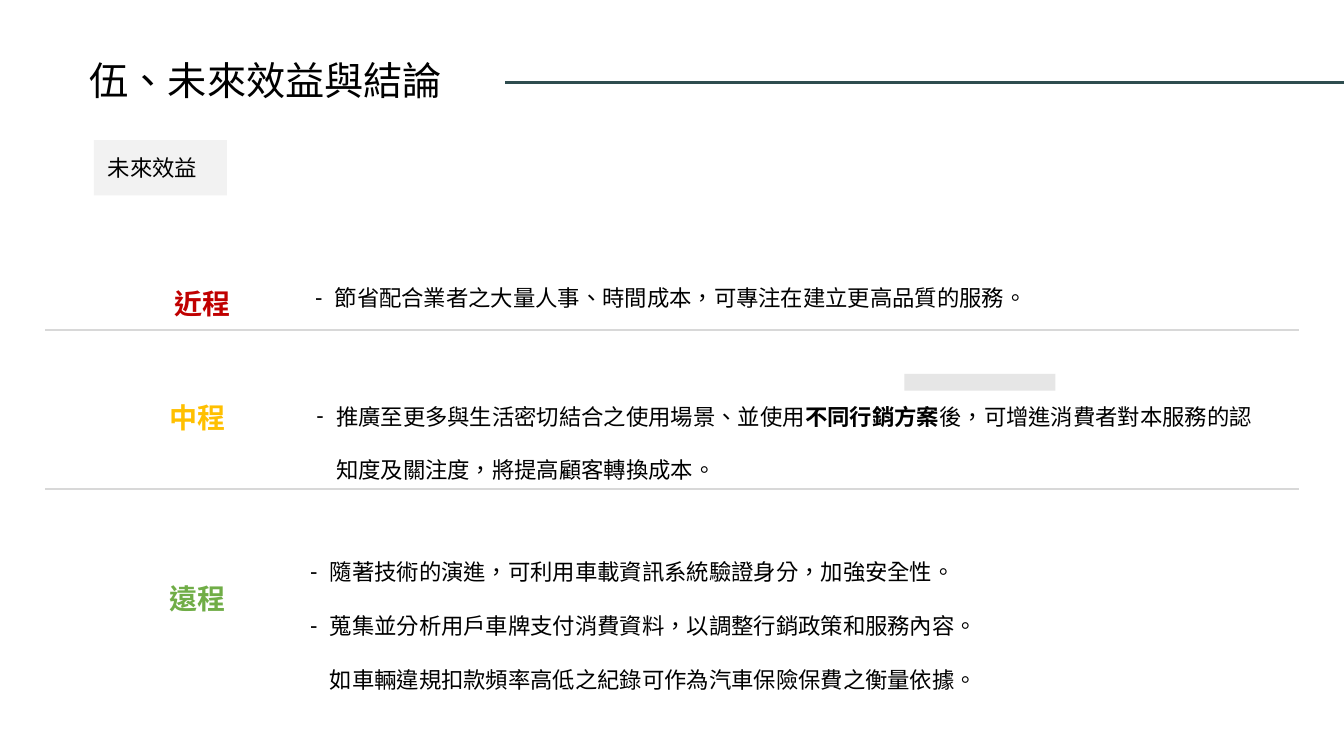
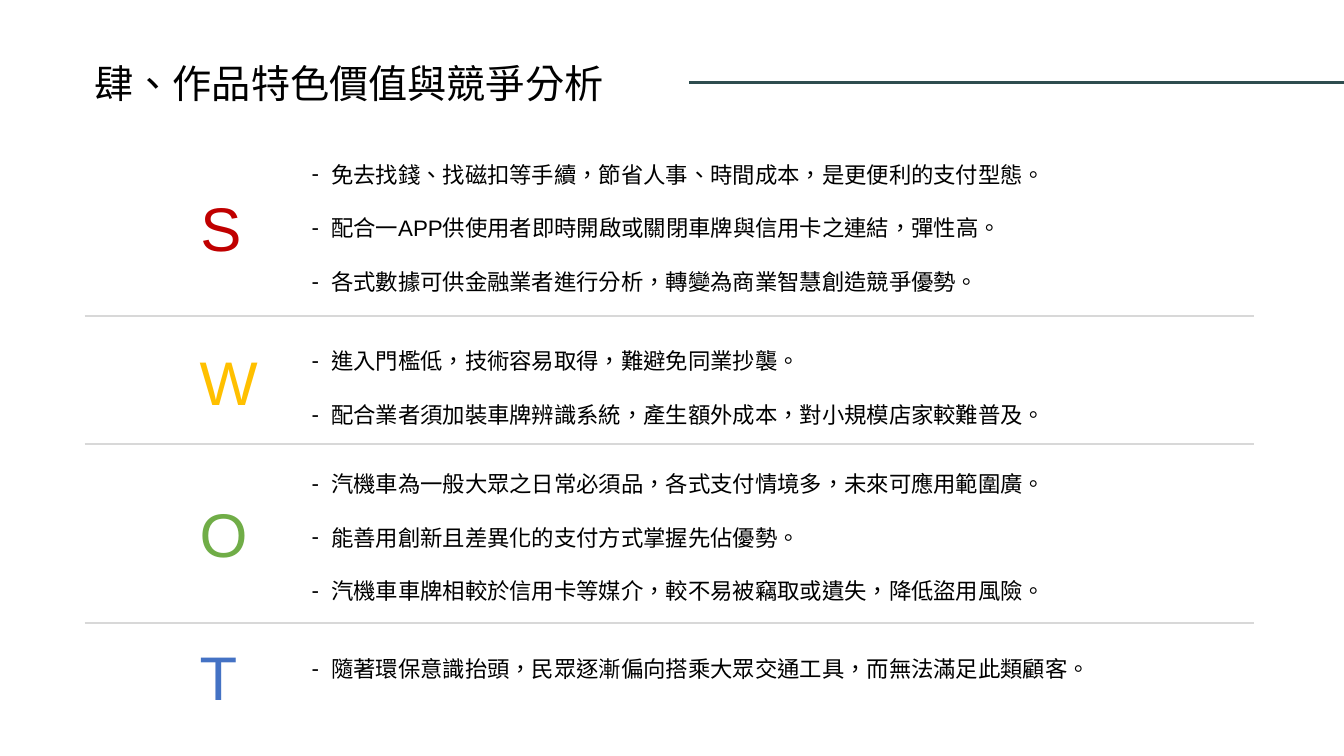
"""Build two slides: future benefits by term, and a SWOT analysis."""
from pptx import Presentation
from pptx.dml.color import RGBColor as Rgb
from pptx.enum.lang import MSO_LANGUAGE_ID as Lang
from pptx.enum.shapes import MSO_CONNECTOR as Conn, MSO_SHAPE as Kind
from pptx.enum.text import MSO_ANCHOR as Anchor
from pptx.oxml.ns import qn
from pptx.util import Pt
from lxml.etree import SubElement as Sub

INK = {"text": "000000", "bar": "2E4D4F", "rule": "D8D8D8", "tag": "F2F2F2",
       "mark": "E6E6E6", "red": "C00000", "gold": "FFC000",
       "green": "70AD47", "blue": "4472C4"}
FONT = "Arial"
WIDE, HIGH = 960, 540
BAR_Y = 59
HANG = 14
BODY_W = 690
LINE_H = 38.5

TERMS = {
    "title": ("伍、未來效益與結論", 57, 36.5),
    "bar": 361,
    "tag": ("未來效益", (67, 100, 95, 39.5)),
    "mark": (646, 267, 108, 12),
    "label": {"size": 20, "bold": True, "gap": 2},
    "rules": (32.5, 928, [235.5, 349]),
    "rows": [
        ("近程", "red", (117.5, 177), (218, 180.5), 2,
         ["- 節省配合業者之大量人事、時間成本，可專注在建立更高品質的服務。"]),
        ("中程", "gold", (114, 258.5), (219, 265), 2,
         [("- 推廣至更多與生活密切結合之使用場景、並使用", "不同行銷方案",
           "後，可增進消費者對本服務的認知度及關注度，將提高顧客轉換成本。")]),
        ("遠程", "green", (114, 388), (214.5, 376), 2,
         ["- 隨著技術的演進，可利用車載資訊系統驗證身分，加強安全性。",
          "- 蒐集並分析用戶車牌支付消費資料，以調整行銷政策和服務內容。",
          "如車輛違規扣款頻率高低之紀錄可作為汽車保險保費之衡量依據。"]),
    ],
}
SWOT = {
    "title": ("肆、作品特色價值與競爭分析", 60.5, 39),
    "bar": 492.5,
    "label": {"size": 44},
    "rules": (60.5, 895.5, [225.5, 317, 445]),
    "rows": [
        ("S", "red", (136, 132), (215.5, 92), 2,
         ["- 免去找錢、找磁扣等手續，節省人事、時間成本，是更便利的支付型態。",
          "- 配合一APP供使用者即時開啟或關閉車牌與信用卡之連結，彈性高。",
          "- 各式數據可供金融業者進行分析，轉變為商業智慧創造競爭優勢。"]),
        ("W", "gold", (135.5, 242), (215.5, 225.5), 2,
         ["- 進入門檻低，技術容易取得，難避免同業抄襲。",
          "- 配合業者須加裝車牌辨識系統，產生額外成本，對小規模店家較難普及。"]),
        ("O", "green", (135.5, 350.5), (215.5, 313), 2,
         ["- 汽機車為一般大眾之日常必須品，各式支付情境多，未來可應用範圍廣。",
          "- 能善用創新且差異化的支付方式掌握先佔優勢。",
          "- 汽機車車牌相較於信用卡等媒介，較不易被竊取或遺失，降低盜用風險。"]),
        ("T", "blue", (135.5, 453), (215.5, 464.5), 1,
         ["- 隨著環保意識抬頭，民眾逐漸偏向搭乘大眾交通工具，而無法滿足此類顧客。"]),
    ],
}


def color(name):
    return Rgb.from_string(INK[name])


def write(shape, paras, size=16, ink="text", bold=False, gap=1, hang=0):
    """Fill a shape; the odd parts of a tuple turn bold."""
    frame = shape.text_frame
    frame.word_wrap = True
    for i, item in enumerate(paras):
        para = frame.add_paragraph() if i else frame.paragraphs[0]
        parts = [item] if isinstance(item, str) else list(item)
        if hang:
            props = para._p.get_or_add_pPr()
            props.set("marL", str(Pt(hang)))
            dash = parts[0].startswith("- ")
            props.set("indent", str(-Pt(hang) if dash else 0))
            if dash:
                parts[0] = parts[0][2:]
                Sub(props, qn("a:buFont")).set("typeface", FONT)
                Sub(props, qn("a:buChar")).set("char", "-")
            else:
                Sub(props, qn("a:buNone"))
        para.line_spacing = gap
        for j, part in enumerate(parts):
            run = para.add_run()
            run.text = part
            font = run.font
            font.name, font.size = FONT, Pt(size)
            font.bold = bold or j % 2 == 1
            font.color.rgb = color(ink)
            font.language_id = Lang.TRADITIONAL_CHINESE


def text(slide, box, paras, **form):
    shape = slide.shapes.add_textbox(*map(Pt, box))
    write(shape, paras, **form)


def block(slide, box, ink):
    shape = slide.shapes.add_shape(Kind.RECTANGLE, *map(Pt, box))
    shape.shadow.inherit = False
    shape.fill.solid()
    shape.fill.fore_color.rgb = color(ink)
    shape.line.fill.background()
    return shape


def rule(slide, left, right, y, ink, width):
    line = slide.shapes.add_connector(Conn.STRAIGHT, Pt(left), Pt(y), Pt(right), Pt(y))
    line.line.color.rgb = color(ink)
    line.line.width = Pt(width)
    Sub(line._element.spPr, qn("a:effectLst"))


def build(deck, page):
    slide = deck.slides.add_slide(deck.slide_layouts[6])
    if "mark" in page:
        block(slide, page["mark"], "mark")
    title, x, y = page["title"]
    text(slide, (x, y, page["bar"] - x, 41), [title], size=28)
    rule(slide, page["bar"], WIDE, BAR_Y, "bar", 2.25)
    if "tag" in page:
        name, box = page["tag"]
        tag = block(slide, box, "tag")
        tag.text_frame.margin_left = Pt(10)
        tag.text_frame.vertical_anchor = Anchor.MIDDLE
        write(tag, [name])
        tag.text_frame.paragraphs[0].alignment = 1
    left, right, tops = page["rules"]
    for top in tops:
        rule(slide, left, right, top, "rule", 1.5)
    for name, ink, spot, body, gap, items in page["rows"]:
        text(slide, (*spot, 62, 48), [name], ink=ink, **page["label"])
        high = len(items) * LINE_H * gap / 2 + 8
        text(slide, (*body, BODY_W, high), items, gap=gap, hang=HANG)


def main():
    deck = Presentation()
    deck.slide_width, deck.slide_height = Pt(WIDE), Pt(HIGH)
    for page in (TERMS, SWOT):
        build(deck, page)
    deck.save("out.pptx")


if __name__ == "__main__":
    main()
